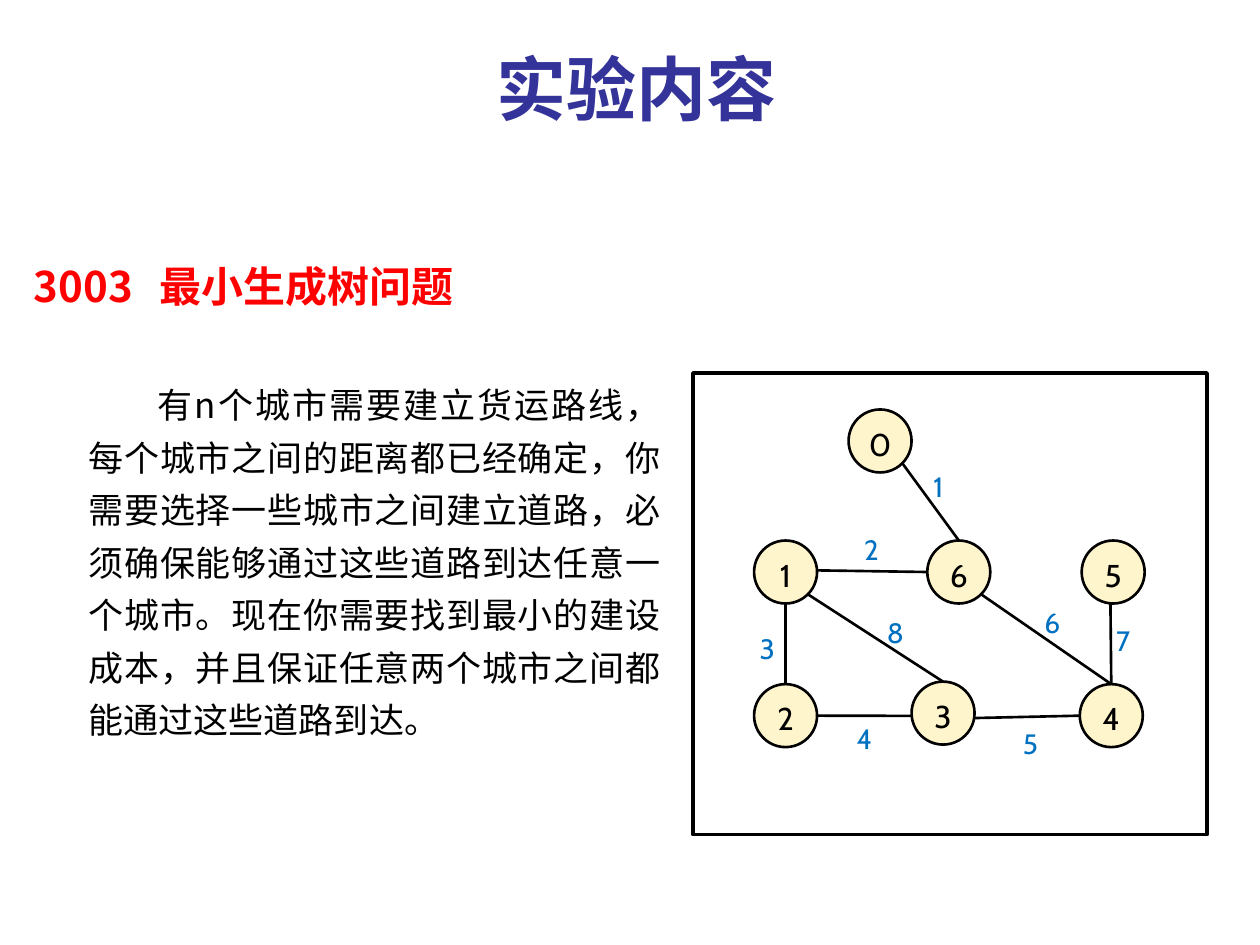
from dataclasses import dataclass
from math import cos, radians, sin

from lxml import etree
from pptx import Presentation
from pptx import util as u
from pptx.dml.color import RGBColor
from pptx.enum import shapes, text
from pptx.oxml.ns import qn


@dataclass(frozen=True)
class Theme:
    """Colours, fonts and type sizes of the slide."""
    title: str = "333399"
    heading: str = "FF0000"
    ink: str = "000000"
    paper: str = "FFFFFF"
    city: str = "FFF5CC"
    weight: str = "0070C0"
    han: str = "Noto Sans CJK SC"
    latin: str = "Cabin"
    title_size: int = 40
    heading_size: int = 24
    body_size: int = 20
    city_size: int = 18
    weight_size: int = 16


THEME = Theme()
CELL = u.Inches(10) // 100
TOP, LEFT, BOTTOM, BOTTOM_RIGHT, RIGHT = 0, 90, 180, 225, 270
CITY_SIZE = 5
CITIES = {
    0: (14.85, 5.4), 1: (7.35, 15.8), 2: (7.35, 27.2), 3: (19.85, 27),
    4: (33.2, 27.2), 5: (33.35, 15.8), 6: (21.1, 15.8),
}
ROADS = [
    (0, BOTTOM_RIGHT, 6, TOP, 1, (18.1, 7.2)),
    (6, LEFT, 1, RIGHT + 3, 2, (12.6, 12.2)),
    (1, BOTTOM, 2, TOP, 3, (4.3, 20)),
    (3, LEFT + 5, 2, RIGHT, 4, (12, 27.2)),
    (4, LEFT, 3, RIGHT - 9, 5, (25.2, 27.6)),
    (4, TOP, 6, BOTTOM_RIGHT, 6, (26.9, 18)),
    (5, BOTTOM - 5, 4, TOP, 7, (32.6, 19.4)),
    (3, TOP, 1, BOTTOM_RIGHT, 8, (14.4, 18.8)),
]
TASK = ("有n个城市需要建立货运路线，每个城市之间的距离都已经确定，你需要选择一些城市之间建立道路，"
        "必须确保能够通过这些道路到达任意一个城市。现在你需要找到最小的建设成本，"
        "并且保证任意两个城市之间都能通过这些道路到达。")


def cells(*counts):
    """Turn counts of grid cells into lengths."""
    return [u.Emu(round(count * CELL)) for count in counts]


def write(paragraph, words, family, size, color, bold=False, align=None):
    """Fill a paragraph and set its font."""
    paragraph.text = words
    paragraph.alignment = align
    font = paragraph.font
    font.name, font.size, font.bold = family, u.Pt(size), bold
    font.color.rgb = RGBColor.from_string(color)
    defaults = paragraph._p.pPr.find(qn("a:defRPr"))
    etree.SubElement(defaults, qn("a:ea")).set("typeface", family)


def add_outlined(parent, preset, box, fill, width):
    """Add a filled preset shape with an ink outline."""
    outlined = parent.add_shape(preset, *cells(*box))
    outlined.shadow.inherit = False
    outlined.fill.solid()
    outlined.fill.fore_color.rgb = RGBColor.from_string(fill)
    outlined.line.color.rgb = RGBColor.from_string(THEME.ink)
    outlined.line.width = u.Pt(width)
    return outlined


def add_title(slide, box):
    """Place the slide title."""
    frame = slide.shapes.add_textbox(*cells(*box)).text_frame
    frame.word_wrap = True
    frame.vertical_anchor = text.MSO_ANCHOR.BOTTOM
    write(frame.paragraphs[0], "实验内容", THEME.han, THEME.title_size,
          THEME.title, True, text.PP_ALIGN.CENTER)


def add_task(slide, box):
    """Place the problem heading and its description."""
    frame = slide.shapes.add_textbox(*cells(*box)).text_frame
    frame.word_wrap = True
    frame.margin_top, = cells(5.6)
    heading, task = frame.paragraphs[0], frame.add_paragraph()
    justify = text.PP_ALIGN.JUSTIFY
    write(heading, "3003\t最小生成树问题", THEME.han, THEME.heading_size,
          THEME.heading, True, justify)
    write(task, TASK, THEME.han, THEME.body_size, THEME.ink, align=justify)
    task.space_before = u.Pt(35.5)
    margin, indent = cells(4.35, 5.5)
    task._p.pPr.set("marL", str(margin))
    task._p.pPr.set("indent", str(indent))
    for paragraph in (heading, task):
        paragraph.line_spacing = 1.25


def add_city(group, name, x, y):
    """Add one numbered city centred on a point."""
    box = (x - CITY_SIZE / 2, y - CITY_SIZE / 2, CITY_SIZE, CITY_SIZE)
    city = add_outlined(group, shapes.MSO_SHAPE.OVAL, box, THEME.city, 1.5)
    city.text_frame.word_wrap = False
    city.text_frame.vertical_anchor = text.MSO_ANCHOR.TOP
    write(city.text_frame.paragraphs[0], str(name), THEME.latin,
          THEME.city_size, THEME.ink, align=text.PP_ALIGN.CENTER)


def rim(center, angle):
    """Find the point on a city's rim, turning left from its top."""
    turn = radians(angle)
    return (center[0] - CITY_SIZE / 2 * sin(turn),
            center[1] - CITY_SIZE / 2 * cos(turn))


def add_road(group, start, end):
    """Draw a straight road between two points."""
    road = group.add_connector(shapes.MSO_CONNECTOR.STRAIGHT, *cells(*start, *end))
    road.line.color.rgb = RGBColor.from_string(THEME.ink)
    road.line.width = u.Pt(1.5)
    etree.SubElement(road._element.spPr, qn("a:effectLst"))


def add_weight(group, weight, x, y):
    """Label a road with its weight."""
    frame = group.add_textbox(*cells(x, y, 6.1, 3.7)).text_frame
    frame.word_wrap = True
    write(frame.paragraphs[0], str(weight), THEME.latin, THEME.weight_size,
          THEME.weight)


def add_graph(slide, box):
    """Draw the framed graph of cities and weighted roads."""
    group = slide.shapes.add_group_shape().shapes
    add_outlined(group, shapes.MSO_SHAPE.RECTANGLE, box, THEME.paper, 2)
    centers = {name: (box[0] + x, box[1] + y) for name, (x, y) in CITIES.items()}
    for name, center in centers.items():
        add_city(group, name, *center)
    for start, leave, end, arrive, weight, (x, y) in ROADS:
        add_road(group, rim(centers[start], leave), rim(centers[end], arrive))
        add_weight(group, weight, box[0] + x, box[1] + y)


def main():
    """Build and save the slide."""
    deck = Presentation()
    deck.slide_width, deck.slide_height = cells(100, 75)
    slide = deck.slides.add_slide(deck.slide_layouts[6])
    add_task(slide, (1.7, 14.1, 51.7, 54.6))
    add_title(slide, (8.3, 2.5, 84.4, 8.3))
    add_graph(slide, (55, 29.6, 40.8, 36.65))
    deck.save("out.pptx")


if __name__ == "__main__":
    main()
